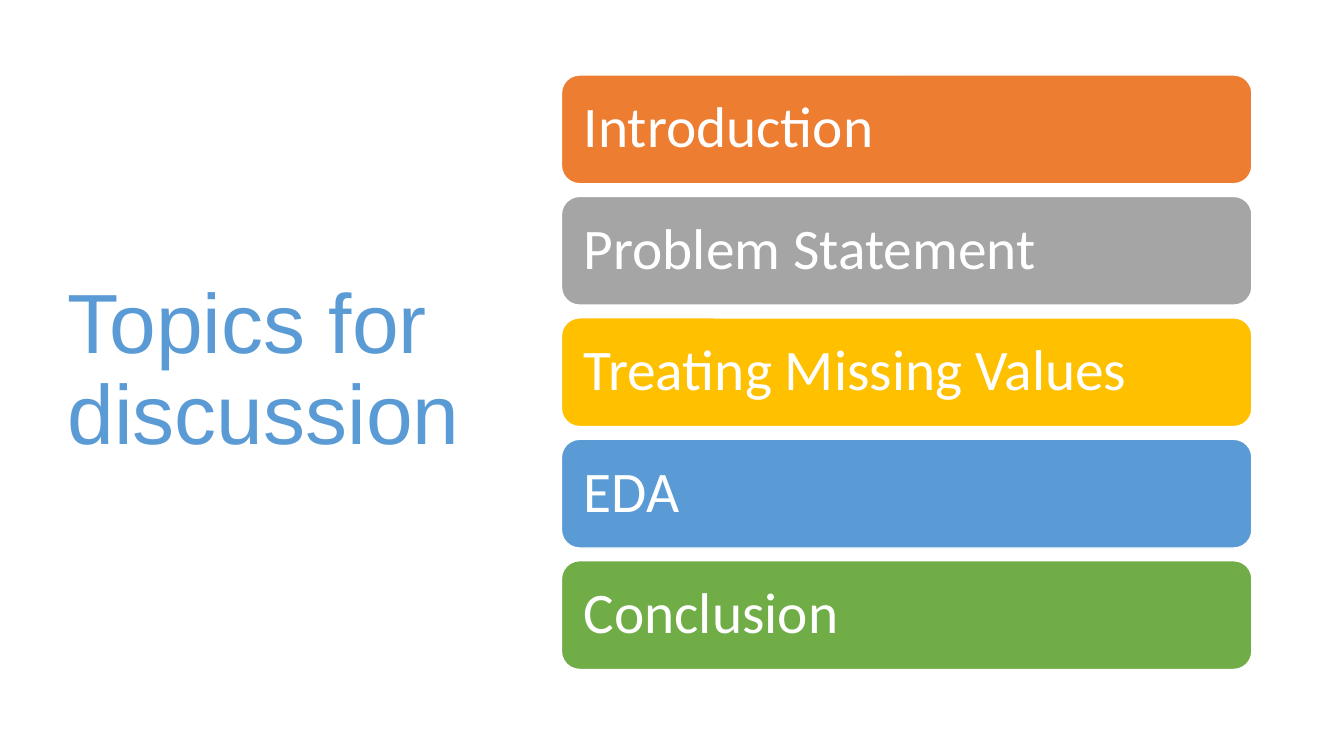
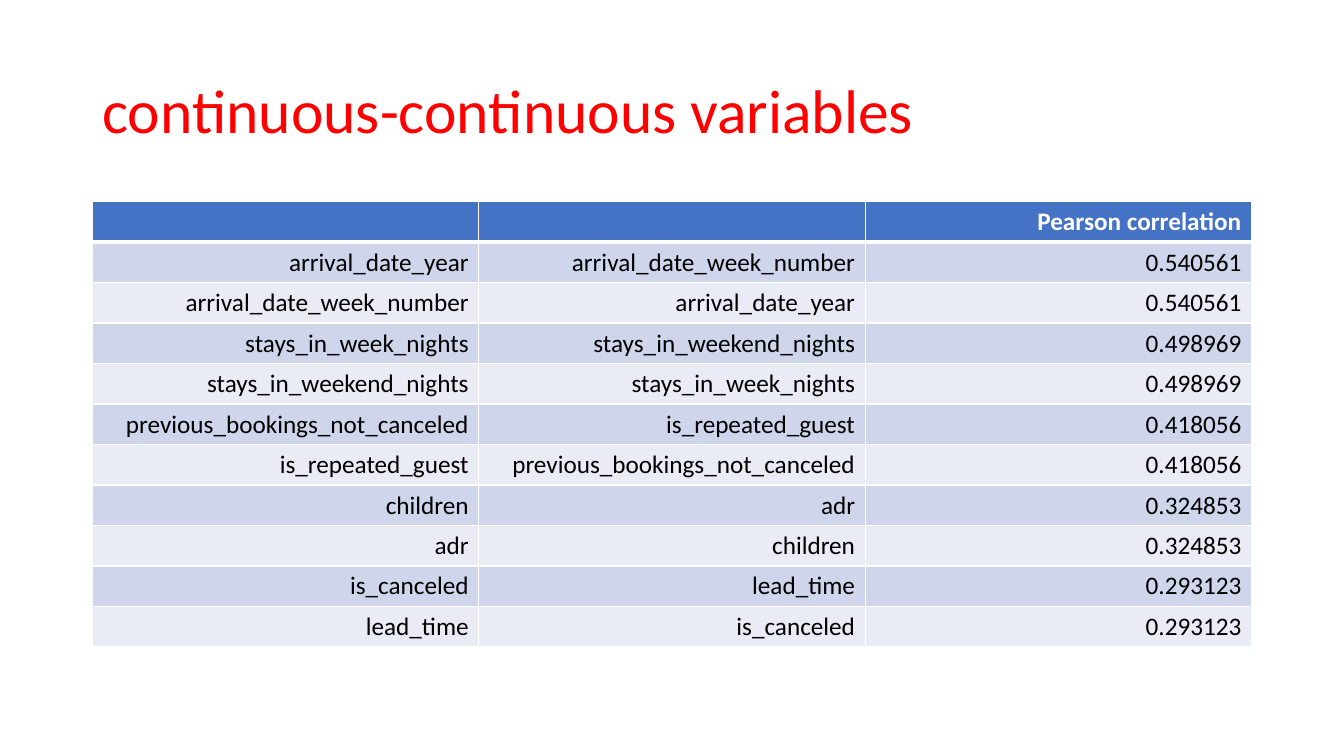
from lxml import etree
from pptx import Presentation
from pptx import util as u
from pptx.dml.color import RGBColor
from pptx.enum import shapes, text
from pptx.oxml import ns

WHITE = RGBColor(0xFF, 0xFF, 0xFF)
BLACK = RGBColor(0x00, 0x00, 0x00)
RED = RGBColor(0xFF, 0x00, 0x00)
ORANGE = RGBColor(0xED, 0x7D, 0x31)
GREY = RGBColor(0xA5, 0xA5, 0xA5)
GOLD = RGBColor(0xFF, 0xC0, 0x00)
BLUE = RGBColor(0x5B, 0x9B, 0xD5)
GREEN = RGBColor(0x70, 0xAD, 0x47)
HEADER_BLUE = RGBColor(0x44, 0x72, 0xC4)
BAND_DARK = RGBColor(0xCF, 0xD5, 0xEA)
BAND_LIGHT = RGBColor(0xE9, 0xEB, 0xF5)


def write(frame, words, size, color, font="Calibri", bold=False,
          align=text.PP_ALIGN.LEFT, spacing=0.9):
    """Put one styled paragraph, vertically centred, into a text frame."""
    frame.text = words
    frame.word_wrap = True
    frame.vertical_anchor = text.MSO_ANCHOR.MIDDLE
    paragraph = frame.paragraphs[0]
    paragraph.alignment = align
    paragraph.line_spacing = spacing
    for run in paragraph.runs:
        run.font.name = font
        run.font.size = u.Pt(size)
        run.font.bold = bold
        run.font.color.rgb = color


def add_border(cell, side, points):
    """Draw a white line on one side (L, R, T or B) of a table cell."""
    line = etree.SubElement(cell._tc.get_or_add_tcPr(), ns.qn(f"a:ln{side}"),
                            w=str(u.Pt(points)))
    fill = etree.SubElement(line, ns.qn("a:solidFill"))
    etree.SubElement(fill, ns.qn("a:srgbClr"), val=str(WHITE))


deck = Presentation()
deck.slide_width, deck.slide_height = u.Cm(33.87), u.Cm(19.05)
blank = deck.slide_layouts[6]

# Slide 1: topics
agenda = deck.slides.add_slide(blank)
title = agenda.shapes.add_textbox(u.Cm(1.45), u.Cm(1.73), u.Cm(10.57), u.Cm(15.29))
write(title.text_frame, "Topics for discussion", 60, BLUE, font="Arial")

topics = [
    ("Introduction", ORANGE),
    ("Problem Statement", GREY),
    ("Treating Missing Values", GOLD),
    ("EDA", BLUE),
    ("Conclusion", GREEN),
]
topic_top, topic_pitch = 1.89, 3.06
for i, (topic, color) in enumerate(topics):
    bar = agenda.shapes.add_shape(
        shapes.MSO_SHAPE.ROUNDED_RECTANGLE,
        u.Cm(14.15), u.Cm(topic_top + i * topic_pitch), u.Cm(17.4), u.Cm(2.74))
    bar.shadow.inherit = False
    bar.fill.solid()
    bar.fill.fore_color.rgb = color
    bar.line.color.rgb = WHITE
    bar.line.width = u.Pt(1)
    bar.text_frame.margin_left = bar.text_frame.margin_right = u.Cm(0.43)
    write(bar.text_frame, topic, 41, WHITE)

# Slide 2: correlations
correlations = deck.slides.add_slide(blank)
title = correlations.shapes.add_textbox(u.Cm(2.33), u.Cm(1.01), u.Cm(29.21), u.Cm(3.68))
write(title.text_frame, "continuous-continuous variables", 44, RED)

# Each pair is listed in both directions
pairs = [
    ("arrival_date_year", "arrival_date_week_number", "0.540561"),
    ("stays_in_week_nights", "stays_in_weekend_nights", "0.498969"),
    ("previous_bookings_not_canceled", "is_repeated_guest", "0.418056"),
    ("children", "adr", "0.324853"),
    ("is_canceled", "lead_time", "0.293123"),
]
rows = [("", "", "Pearson correlation")]
for first, second, value in pairs:
    rows += [(first, second, value), (second, first, value)]

row_height = 1.02
table = correlations.shapes.add_table(
    len(rows), 3, u.Cm(2.33), u.Cm(5.08), u.Cm(29.21), u.Cm(row_height * len(rows))).table
for r, row in enumerate(rows):
    table.rows[r].height = u.Cm(row_height)
    is_header = r == 0
    band = HEADER_BLUE if is_header else BAND_DARK if r % 2 else BAND_LIGHT
    for c, words in enumerate(row):
        cell = table.cell(r, c)
        for side in "LRTB":
            header_edge = (is_header and side == "B") or (r == 1 and side == "T")
            add_border(cell, side, 3 if header_edge else 1)
        cell.fill.solid()
        cell.fill.fore_color.rgb = band
        write(cell.text_frame, words, 18, WHITE if is_header else BLACK,
              bold=is_header, align=text.PP_ALIGN.RIGHT, spacing=1.0)
        cell.vertical_anchor = text.MSO_ANCHOR.MIDDLE

deck.save("out.pptx")
